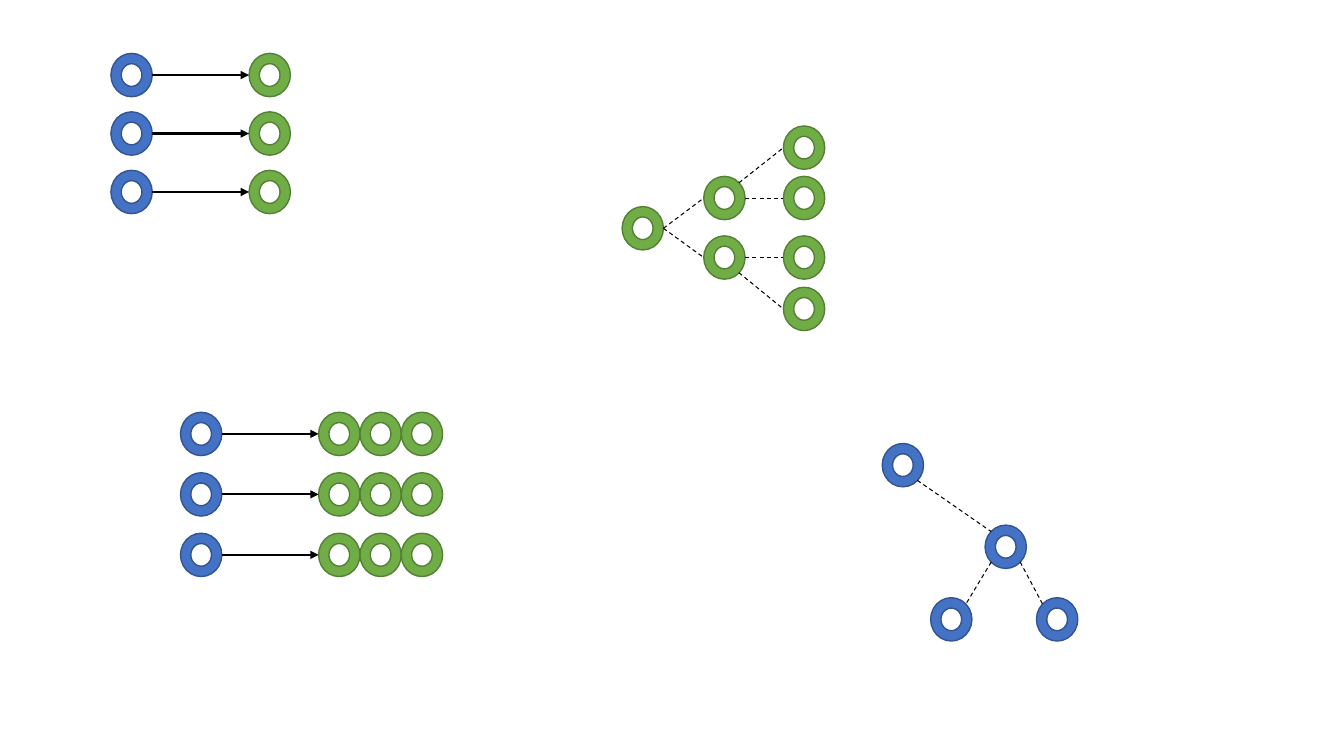
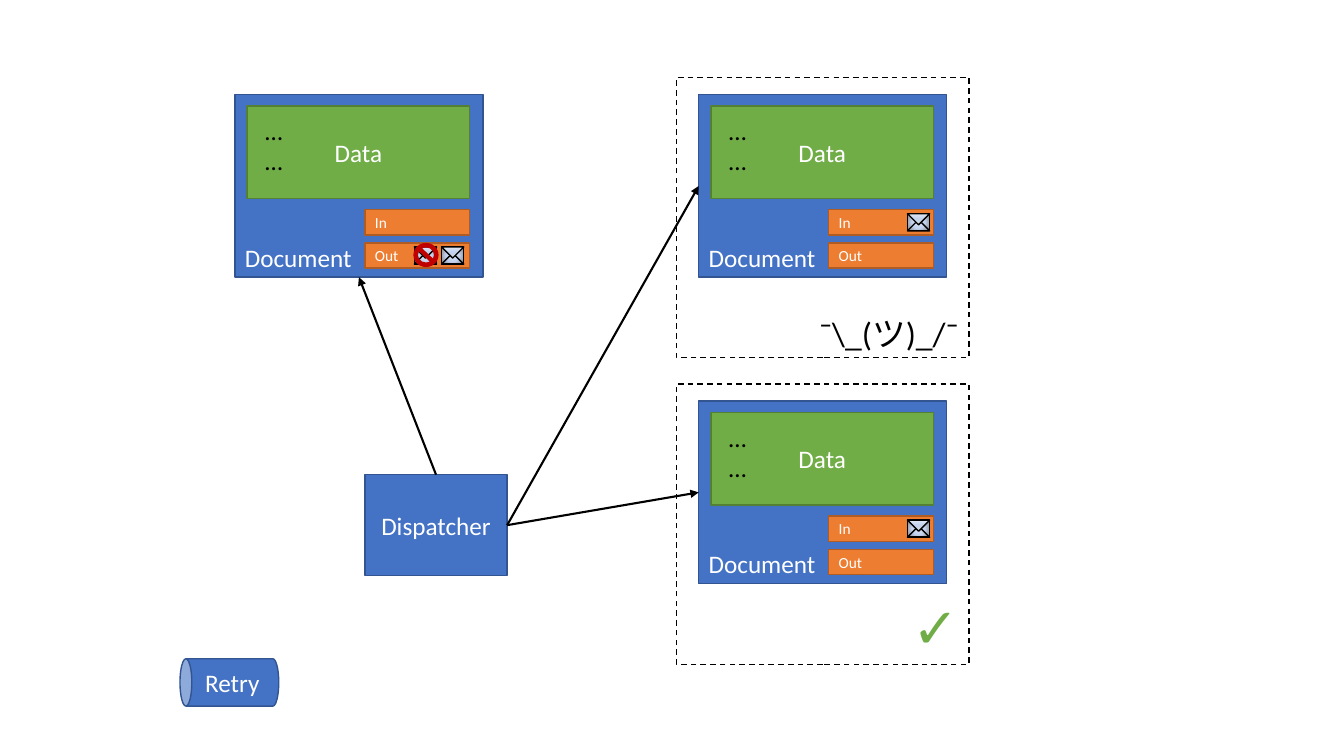
from pptx import Presentation
from pptx.dml.color import RGBColor
from pptx.enum import dml, shapes, text
from pptx.oxml import parse_xml
from pptx.oxml.ns import nsdecls, qn
from pptx.util import Inches, Pt

FONT = "Calibri"
BLACK, WHITE, RED = "000000", "FFFFFF", "C00000"
BLUE = ("4472C4", "325491")
GREEN = ("70AD47", "538035")
ORANGE = ("ED7D31", "AF5C24")
OUTLINE = (None, BLACK)
KIND = shapes.MSO_SHAPE
ALIGN = text.PP_ALIGN
ANCHOR = text.MSO_ANCHOR
TOP, LEFT, BOTTOM, RIGHT = range(4)

RING_WIDTH, RING_HEIGHT = 0.41, 0.43
MAPPING_GAP = 1.37
MAPPINGS = [
    {"left": 1.1, "top": 0.53, "step": 0.58, "targets": 1},
    {"left": 1.79, "top": 4.09, "step": 0.6, "targets": 3},
]
MAPPING_ROWS = 3

TREES = [
    {
        "colors": GREEN,
        "nodes": {
            "root": (6.17, 2.05),
            "upper": (6.98, 1.75),
            "lower": (6.98, 2.34),
            "leaf 1": (7.77, 1.25),
            "leaf 2": (7.77, 1.75),
            "leaf 3": (7.77, 2.34),
            "leaf 4": (7.77, 2.85),
        },
        "links": [
            ("root", "right", "upper", "left"),
            ("root", "right", "lower", "left"),
            ("upper", "top right", "leaf 1", "left"),
            ("upper", "right", "leaf 2", "left"),
            ("lower", "right", "leaf 3", "left"),
            ("lower", "bottom right", "leaf 4", "left"),
        ],
    },
    {
        "colors": BLUE,
        "nodes": {
            "start": (8.75, 4.4),
            "hub": (9.77, 5.21),
            "left end": (9.23, 5.93),
            "right end": (10.28, 5.93),
        },
        "links": [
            ("start", "bottom right", "hub", "top left"),
            ("hub", "bottom left", "left end", "top right"),
            ("hub", "bottom right", "right end", "top left"),
        ],
    },
]
SITES = {
    "left": (0, 0.5),
    "right": (1, 0.5),
    "top left": (0.15, 0.15),
    "top right": (0.85, 0.15),
    "bottom left": (0.15, 0.85),
    "bottom right": (0.85, 0.85),
}

DOCUMENTS = {
    "sender": {"at": (2.33, 0.94), "letters": [(2.05, 1.51), (1.78, 1.51)]},
    "unsure": {"at": (6.93, 0.94), "letters": [(2.07, 1.18)],
               "frame": ("¯\\_(ツ)_/¯", 24, BLACK)},
    "done": {"at": (6.93, 3.98), "letters": [(2.07, 1.18)],
             "frame": ("✓", 40, GREEN[0])},
}
QUEUES = [("In", 1.14), ("Out", 1.47)]
DELIVERIES = [("sender", TOP, BOTTOM), ("unsure", RIGHT, LEFT), ("done", RIGHT, LEFT)]

PAPER = ("E1E8F5", "C2D1ED", "808080")
FLAP = ("E1E8F5", "C2D1ED", "D9D9D9")
CENTER_PATH = '<a:path path="circle"><a:fillToRect l="50000" t="50000" r="50000" b="50000"/></a:path>'
UPWARD = '<a:lin ang="16200000" scaled="1"/>'


def rgb(value):
    return RGBColor.from_string(value)


def write(shape, lines, size, color=WHITE, align=ALIGN.LEFT, anchor=ANCHOR.MIDDLE):
    frame = shape.text_frame
    frame.text = lines
    frame.word_wrap = True
    frame.vertical_anchor = anchor
    for paragraph in frame.paragraphs:
        paragraph.alignment = align
        for run in paragraph.runs:
            run.font.name = FONT
            run.font.size = Pt(size)
            run.font.color.rgb = rgb(color)


def add_shape(parent, kind, left, top, width, height, colors):
    shape = parent.add_shape(kind, Inches(left), Inches(top), Inches(width), Inches(height))
    shape.shadow.inherit = False
    fill, line = colors
    if fill:
        shape.fill.solid()
        shape.fill.fore_color.rgb = rgb(fill)
    else:
        shape.fill.background()
    if line:
        shape.line.color.rgb = rgb(line)
        shape.line.width = Pt(1)
    else:
        shape.line.fill.background()
    return shape


def set_gradient(shape, colors, direction):
    stops = "".join(
        f'<a:gs pos="{position}"><a:srgbClr val="{color}"/></a:gs>'
        for position, color in zip((0, 48000, 100000), colors)
    )
    gradient = parse_xml(
        f'<a:gradFill {nsdecls("a")} rotWithShape="1"><a:gsLst>{stops}</a:gsLst>{direction}</a:gradFill>'
    )
    properties = shape.fill._xPr
    properties.replace(properties.find(qn("a:noFill")), gradient)


def add_line(slide, start=(0, 0), end=(0, 0), dashed=False):
    points = [Inches(value) for value in (*start, *end)]
    connector = slide.shapes.add_connector(shapes.MSO_CONNECTOR.STRAIGHT, *points)
    connector.line.color.rgb = rgb(BLACK)
    connector.line.width = Pt(0.75 if dashed else 1.5)
    if dashed:
        connector.line.dash_style = dml.MSO_LINE.DASH
    else:
        connector.line._get_or_add_ln().append(
            parse_xml(f'<a:tailEnd {nsdecls("a")} type="triangle"/>')
        )
    connector._element.spPr.append(parse_xml(f'<a:effectLst {nsdecls("a")}/>'))
    return connector


def add_ring(slide, left, top, colors):
    return add_shape(slide.shapes, KIND.DONUT, left, top, RING_WIDTH, RING_HEIGHT, colors)


def ring_point(position, site):
    across, down = SITES[site]
    return position[0] + across * RING_WIDTH, position[1] + down * RING_HEIGHT


def add_mapping(slide, mapping):
    left = mapping["left"]
    target_left = left + MAPPING_GAP
    for row in range(MAPPING_ROWS):
        top = mapping["top"] + row * mapping["step"]
        add_ring(slide, left, top, BLUE)
        for index in range(mapping["targets"]):
            add_ring(slide, target_left + index * RING_WIDTH, top, GREEN)
        add_line(slide, ring_point((left, top), "right"), ring_point((target_left, top), "left"))


def add_tree(slide, tree):
    nodes = tree["nodes"]
    for left, top in nodes.values():
        add_ring(slide, left, top, tree["colors"])
    for source, source_site, target, target_site in tree["links"]:
        add_line(slide, ring_point(nodes[source], source_site),
                 ring_point(nodes[target], target_site), dashed=True)


def add_envelope(slide, left, top):
    group = slide.shapes.add_group_shape().shapes
    paper = add_shape(group, KIND.RECTANGLE, left, top, 0.22, 0.17, OUTLINE)
    set_gradient(paper, PAPER, CENTER_PATH)
    add_shape(group, KIND.ISOSCELES_TRIANGLE, left, top + 0.06, 0.22, 0.11, OUTLINE)
    flap = add_shape(group, KIND.ISOSCELES_TRIANGLE, left, top, 0.22, 0.11, OUTLINE)
    flap.rotation = 180
    set_gradient(flap, FLAP, UPWARD)


def add_document(slide, document):
    left, top = document["at"]
    body = add_shape(slide.shapes, KIND.RECTANGLE, left, top, 2.46, 1.81, BLUE)
    write(body, "Document", 18, anchor=ANCHOR.BOTTOM)
    data = add_shape(slide.shapes, KIND.RECTANGLE, left + 0.12, top + 0.11, 2.21, 0.92, GREEN)
    write(data, "Data", 18, align=ALIGN.CENTER)
    for label, offset in QUEUES:
        queue = add_shape(slide.shapes, KIND.RECTANGLE, left + 1.29, top + offset, 1.04, 0.25, ORANGE)
        write(queue, label, 11)
    for across, down in document["letters"]:
        add_envelope(slide, left + across, top + down)
    entries = slide.shapes.add_textbox(
        Inches(left + 0.2), Inches(top + 0.15), Inches(0.61), Inches(0.71))
    write(entries, "…\n…", 18, BLACK)
    if "frame" in document:
        label, size, color = document["frame"]
        frame = add_shape(slide.shapes, KIND.RECTANGLE, left - 0.22, top - 0.17, 2.9, 2.78, OUTLINE)
        frame.line.dash_style = dml.MSO_LINE.DASH
        write(frame, label, size, color, ALIGN.RIGHT, ANCHOR.BOTTOM)
    return body


def build_rings(slide):
    for mapping in MAPPINGS:
        add_mapping(slide, mapping)
    for tree in TREES:
        add_tree(slide, tree)


def build_dispatch(slide):
    bodies = {name: add_document(slide, document) for name, document in DOCUMENTS.items()}
    dispatcher = add_shape(slide.shapes, KIND.RECTANGLE, 3.62, 4.71, 1.41, 1, BLUE)
    write(dispatcher, "Dispatcher", 18, align=ALIGN.CENTER)
    retry = add_shape(slide.shapes, KIND.CAN, 2.04, 6.28, 0.47, 0.98, BLUE)
    retry.rotation = 270
    write(retry, "Retry", 18, align=ALIGN.CENTER)
    retry.text_frame._txBody.bodyPr.set("vert", "vert")
    for name, start_site, end_site in DELIVERIES:
        arrow = add_line(slide)
        arrow.begin_connect(dispatcher, start_site)
        arrow.end_connect(bodies[name], end_site)
    add_shape(slide.shapes, KIND.NO_SYMBOL, 4.1, 2.41, 0.25, 0.24, (RED, None))


def main():
    presentation = Presentation()
    presentation.slide_width = Inches(13.33)
    presentation.slide_height = Inches(7.5)
    for build in (build_rings, build_dispatch):
        build(presentation.slides.add_slide(presentation.slide_layouts[6]))
    presentation.save("out.pptx")


if __name__ == "__main__":
    main()
